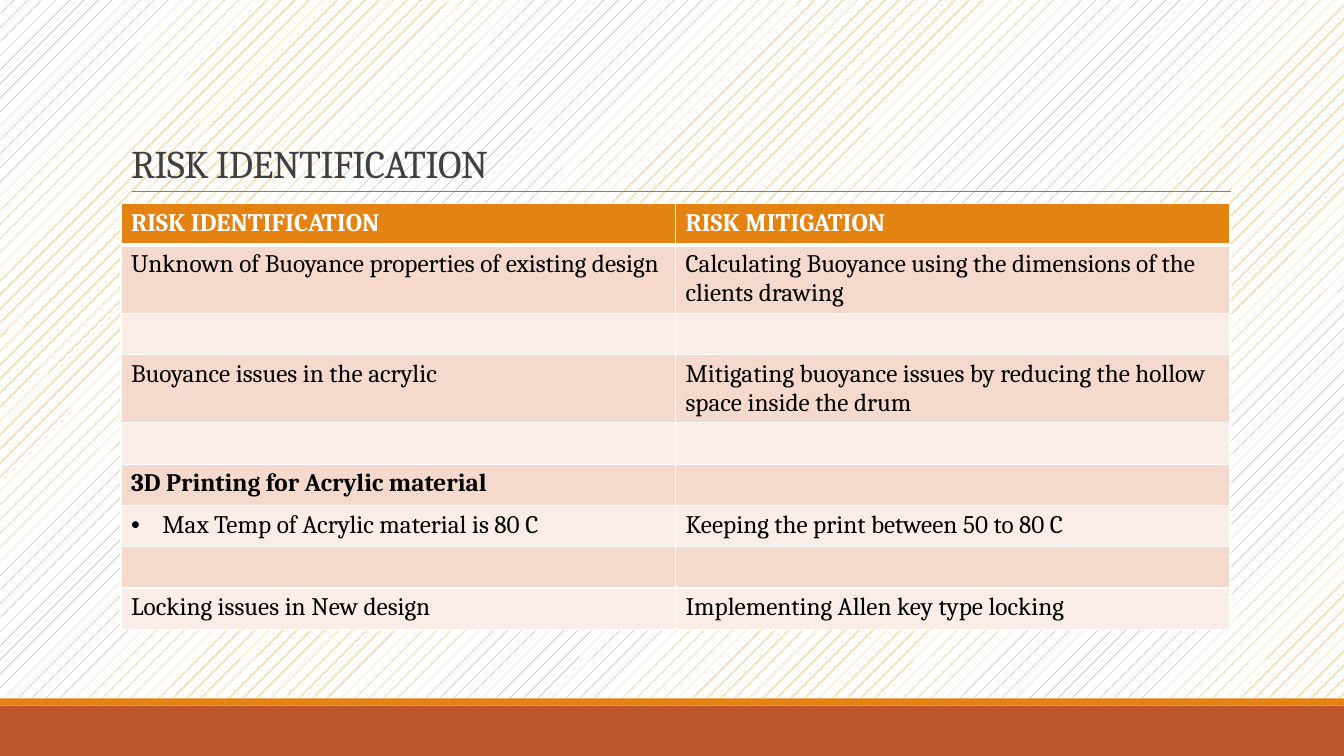
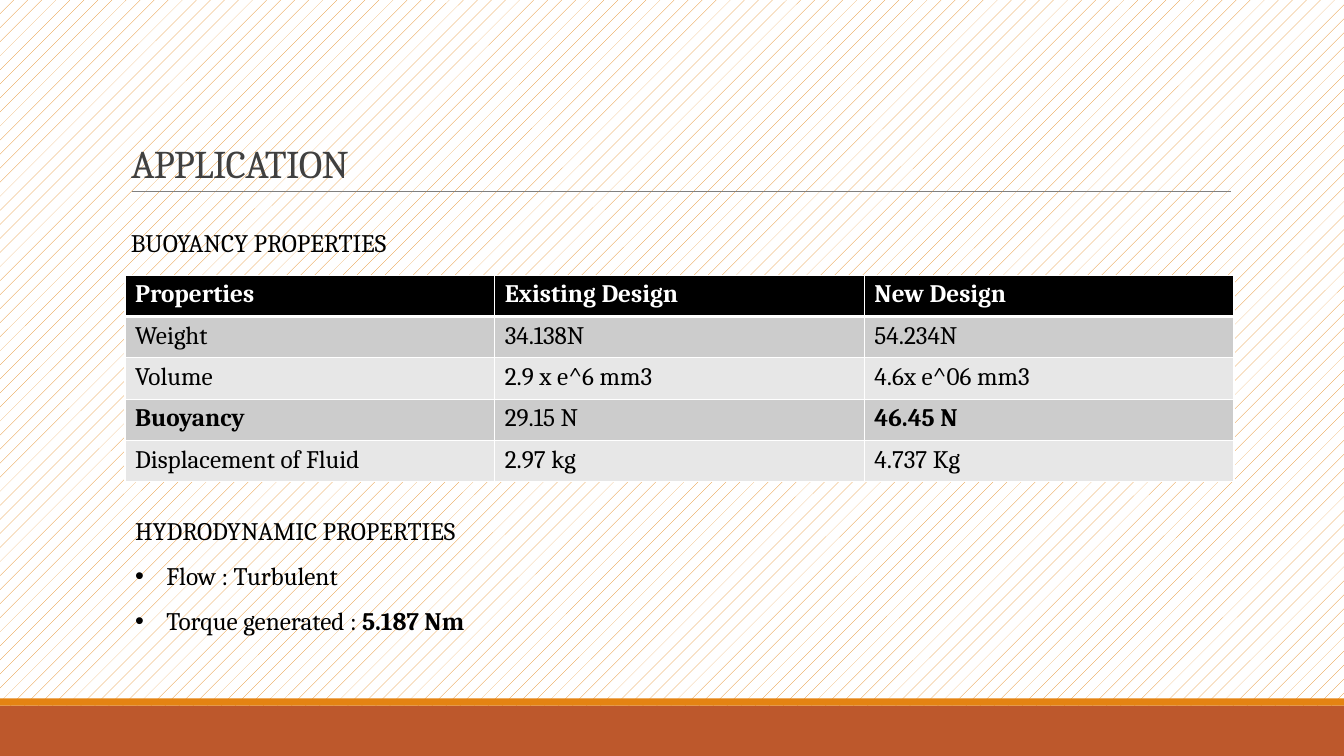
from dataclasses import dataclass

from lxml.etree import SubElement
from pptx import Presentation
from pptx.dml.color import RGBColor
from pptx.enum.dml import MSO_PATTERN
from pptx.enum.shapes import MSO_CONNECTOR, MSO_SHAPE
from pptx.enum.text import MSO_ANCHOR, MSO_AUTO_SIZE, PP_ALIGN
from pptx.oxml.ns import qn
from pptx.presentation import Presentation as Deck
from pptx.slide import Slide
from pptx.table import _Cell as TableCell
from pptx.text.text import TextFrame, _Paragraph as Paragraph
from pptx.util import Inches, Pt

COLORS = {
    "orange": "E48312", "rust": "BD582C", "white": "FFFFFF", "black": "000000",
    "title": "404040", "rule": "808080",
    "peach": "F5D9CC", "pale_peach": "FAEDE7",
    "grey": "CCCCCC", "pale_grey": "E7E7E7",
}
FONT = "Cambria"
SLIDE_WIDTH, SLIDE_HEIGHT = 13.33, 7.5
CONTENT_WIDTH = 11
ROW_HEIGHT = 0.41
BULLET_INDENT = 0.31


@dataclass(frozen=True)
class Entry:
    text: str
    bold: bool = False
    bullet: bool = False


@dataclass(frozen=True)
class Band:
    top: float
    height: float
    color: str


@dataclass(frozen=True)
class TableStyle:
    header: str
    odd_row: str
    even_row: str


BANDS = (Band(7, 0.5, "rust"), Band(6.93, 0.07, "orange"))
WARM = TableStyle("orange", "peach", "pale_peach")
NEUTRAL = TableStyle("black", "grey", "pale_grey")

EMPTY = Entry("")
RISKS = [
    [Entry("RISK IDENTIFICATION"), Entry("RISK MITIGATION")],
    [Entry("Unknown of Buoyance properties of existing design"),
     Entry("Calculating Buoyance using the dimensions of the clients drawing")],
    [EMPTY, EMPTY],
    [Entry("Buoyance issues in the acrylic"),
     Entry("Mitigating buoyance issues by reducing the hollow space inside the drum")],
    [EMPTY, EMPTY],
    [Entry("3D Printing for Acrylic material", bold=True), EMPTY],
    [Entry("Max Temp of Acrylic material is 80 C", bullet=True),
     Entry("Keeping the print between 50 to 80 C")],
    [EMPTY, EMPTY],
    [Entry("Locking issues in New design"), Entry("Implementing Allen key type locking")],
]
BUOYANCY = [
    [Entry("Properties"), Entry("Existing Design"), Entry("New Design")],
    [Entry("Weight"), Entry("34.138N"), Entry("54.234N")],
    [Entry("Volume"), Entry("2.9 x e^6 mm3"), Entry("4.6x e^06 mm3")],
    [Entry("Buoyancy", bold=True), Entry("29.15 N"), Entry("46.45 N", bold=True)],
    [Entry("Displacement of Fluid"), Entry("2.97 kg"), Entry("4.737 Kg")],
]


def rgb(name: str) -> RGBColor:
    return RGBColor.from_string(COLORS[name])


def set_font(paragraph: Paragraph, color: str, size: float = 18, bold: bool = False) -> None:
    font = paragraph.font
    font.name, font.size, font.bold = FONT, Pt(size), bold
    font.color.rgb = rgb(color)


def set_bullet(paragraph: Paragraph, visible: bool) -> None:
    properties = paragraph._p.get_or_add_pPr()
    indent = Inches(BULLET_INDENT) if visible else 0
    properties.set("marL", str(indent))
    properties.set("indent", str(-indent))
    if visible:
        bullet_font = SubElement(properties, qn("a:buFont"))
        bullet_font.set("typeface", "Arial")
        SubElement(properties, qn("a:buChar")).set("char", "•")
    else:
        SubElement(properties, qn("a:buNone"))


def set_borders(cell: TableCell, top: float, bottom: float) -> None:
    """Draw white borders, given the top and bottom widths in points."""
    properties = cell._tc.get_or_add_tcPr()
    for side, width in (("L", 1), ("R", 1), ("T", top), ("B", bottom)):
        line = SubElement(properties, qn(f"a:ln{side}"))
        line.set("w", str(Pt(width)))
        fill = SubElement(line, qn("a:solidFill"))
        SubElement(fill, qn("a:srgbClr")).set("val", COLORS["white"])


def add_titled_slide(presentation: Deck, layout_name: str, title: str) -> Slide:
    """Add a slide with the shared title, rule and bottom bands."""
    slide = presentation.slides.add_slide(presentation.slide_layouts.get_by_name(layout_name))
    for band in BANDS:
        shape = slide.shapes.add_shape(
            MSO_SHAPE.RECTANGLE, 0, Inches(band.top), Inches(SLIDE_WIDTH), Inches(band.height))
        shape.shadow.inherit = False
        shape.fill.solid()
        shape.fill.fore_color.rgb = rgb(band.color)
        shape.line.fill.background()

    rule = slide.shapes.add_connector(
        MSO_CONNECTOR.STRAIGHT, Inches(1.31), Inches(1.9), Inches(12.21), Inches(1.9))
    rule.line.color.rgb = rgb("rule")
    rule.line.width = Pt(0.5)
    SubElement(rule._element.spPr, qn("a:effectLst"))

    shape = slide.shapes.title
    shape.left, shape.top = Inches(1.2), Inches(0.31)
    shape.width, shape.height = Inches(CONTENT_WIDTH), Inches(1.59)
    frame = shape.text_frame
    frame.text = title
    frame.auto_size = MSO_AUTO_SIZE.NONE
    frame.vertical_anchor = MSO_ANCHOR.BOTTOM
    paragraph = frame.paragraphs[0]
    paragraph.alignment = PP_ALIGN.LEFT
    paragraph.line_spacing = 0.85
    set_font(paragraph, "title", 28)
    paragraph.runs[0]._r.get_or_add_rPr().set("spc", "-50")
    return slide


def add_table(slide: Slide, left: float, top: float,
              rows: list[list[Entry]], style: TableStyle) -> None:
    table = slide.shapes.add_table(
        len(rows), len(rows[0]), Inches(left), Inches(top),
        Inches(CONTENT_WIDTH), Inches(ROW_HEIGHT * len(rows))).table
    for row_index, row in enumerate(rows):
        is_header = row_index == 0
        if is_header:
            fill = style.header
        else:
            fill = style.odd_row if row_index % 2 else style.even_row
        for column_index, entry in enumerate(row):
            cell = table.cell(row_index, column_index)
            set_borders(cell, top=3 if row_index == 1 else 1, bottom=3 if is_header else 1)
            cell.fill.solid()
            cell.fill.fore_color.rgb = rgb(fill)
            cell.text = entry.text
            paragraph = cell.text_frame.paragraphs[0]
            if entry.bullet:
                set_bullet(paragraph, True)
            set_font(paragraph, "white" if is_header else "black", bold=is_header or entry.bold)


def format_section(frame: TextFrame) -> None:
    """Format a heading and the bulleted lines below it, if any."""
    frame.word_wrap = True
    frame.auto_size = MSO_AUTO_SIZE.SHAPE_TO_FIT_TEXT
    for index, paragraph in enumerate(frame.paragraphs):
        paragraph.line_spacing = 1.5
        paragraph.space_before = Pt(0)
        set_bullet(paragraph, index > 0)
        set_font(paragraph, "black")


def add_risk_slide(presentation: Deck) -> None:
    slide = add_titled_slide(presentation, "Title Only", "RISK IDENTIFICATION")
    add_table(slide, 1.2, 2.02, RISKS, WARM)


def add_application_slide(presentation: Deck) -> None:
    slide = add_titled_slide(presentation, "Title and Content", "APPLICATION")
    heading = slide.shapes.add_textbox(Inches(1.2), Inches(2.06), Inches(6.67), Inches(0.5))
    heading.text_frame.text = "BUOYANCY PROPERTIES"
    format_section(heading.text_frame)

    add_table(slide, 1.24, 2.73, BUOYANCY, NEUTRAL)

    body = slide.placeholders[1]
    body.left, body.top = Inches(1.24), Inches(4.91)
    body.width, body.height = Inches(6.67), Inches(1.42)
    frame = body.text_frame
    frame.text = "HYDRODYNAMIC PROPERTIES\nFlow : Turbulent\nTorque generated : "
    torque = frame.paragraphs[-1].add_run()
    torque.text = "5.187 Nm"
    torque.font.bold = True
    format_section(frame)


def main() -> None:
    presentation = Presentation()
    presentation.slide_width = Inches(SLIDE_WIDTH)
    presentation.slide_height = Inches(SLIDE_HEIGHT)
    background = presentation.slide_master.background.fill
    background.patterned()
    background.pattern = MSO_PATTERN.PERCENT_5
    background.fore_color.rgb = rgb("orange")
    background.back_color.rgb = rgb("white")
    add_risk_slide(presentation)
    add_application_slide(presentation)
    presentation.save("out.pptx")


if __name__ == "__main__":
    main()
